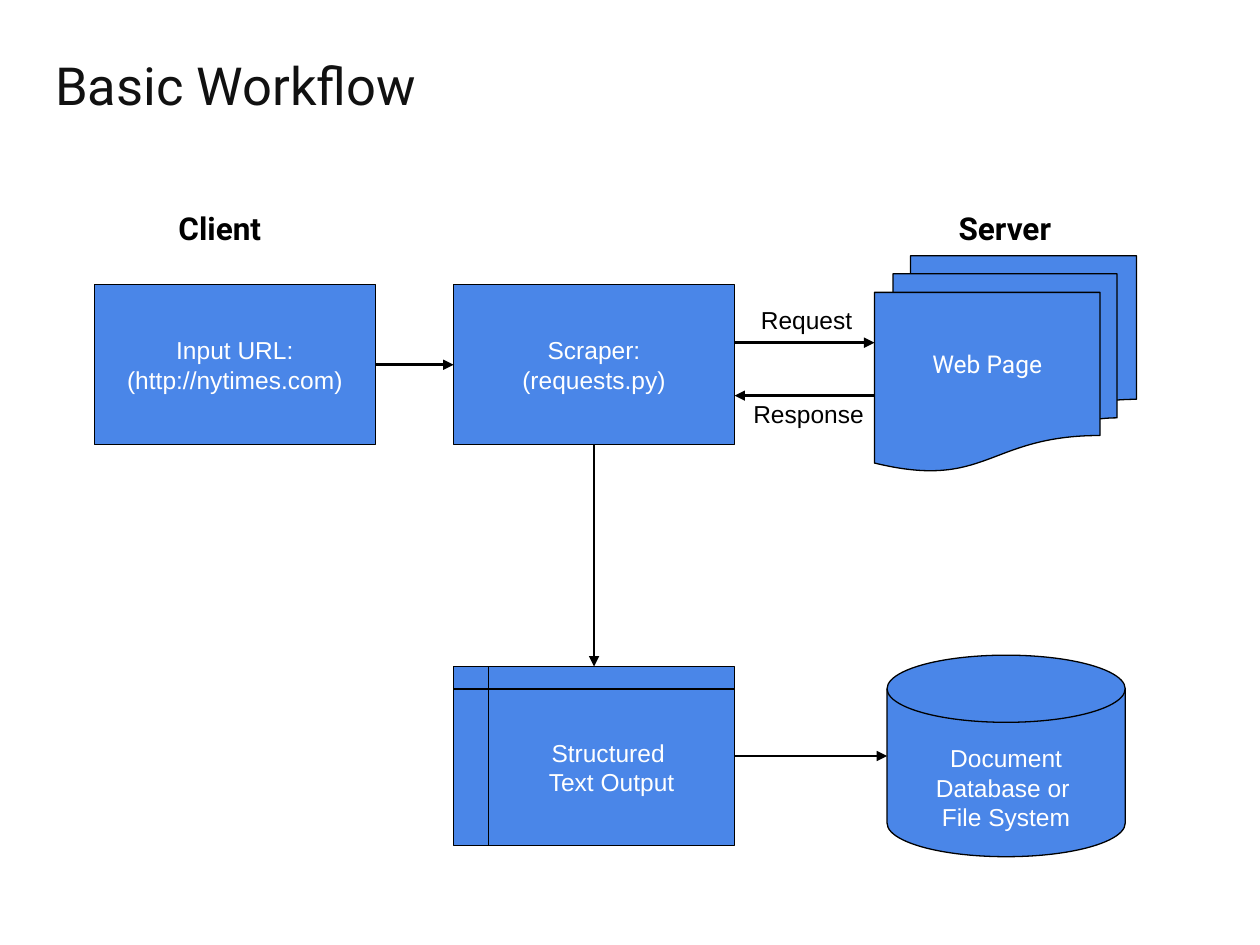
"""Build the Basic Workflow slide, a flow chart of a web scraper."""
import pptx
import pptx.dml.color
import pptx.enum.shapes
import pptx.enum.text
import pptx.oxml.ns
import pptx.util
from lxml import etree

Inches = pptx.util.Inches
Pt = pptx.util.Pt
RGBColor = pptx.dml.color.RGBColor
KIND = pptx.enum.shapes.MSO_SHAPE
ALIGN = pptx.enum.text.PP_ALIGN
ANCHOR = pptx.enum.text.MSO_ANCHOR
qn = pptx.oxml.ns.qn

BLUE = RGBColor(0x4A, 0x86, 0xE8)
BLACK = RGBColor(0, 0, 0)
WHITE = RGBColor(255, 255, 255)
INK = RGBColor(0x11, 0x11, 0x11)


def write(shape, lines, font, size, color, align, bold=False):
    frame = shape.text_frame
    frame.word_wrap = True
    frame.margin_left = frame.margin_right = Inches(0.1)
    frame.margin_top = frame.margin_bottom = Inches(0.1)
    para = frame.paragraphs[0]
    para.alignment = align
    for i, line in enumerate(lines):
        if i:
            para.add_line_break()
        run = para.add_run()
        run.text = line
        run.font.name = font
        run.font.size = Pt(size)
        run.font.bold = bold
        run.font.color.rgb = color


deck = pptx.Presentation()
deck.slide_width, deck.slide_height = Inches(10), Inches(7.5)
slide = deck.slides.add_slide(deck.slide_layouts[6])

labels = [
    ("Basic Workflow", 0.34, 0.32, 9.32, 0.83, "Roboto", 30, INK, ALIGN.LEFT, False),
    ("Client", 0.91, 1.56, 1.67, 0.48, "Roboto", 18, BLACK, ALIGN.CENTER, True),
    ("Server", 7.14, 1.56, 1.67, 0.48, "Roboto", 18, BLACK, ALIGN.CENTER, True),
    ("Request", 5.94, 2.32, 0.97, 0.41, "Arial", 14, BLACK, ALIGN.LEFT, False),
    ("Response", 5.88, 3.07, 1.11, 0.41, "Arial", 14, BLACK, ALIGN.LEFT, False),
]
for text, left, top, width, height, *style in labels:
    box = slide.shapes.add_textbox(Inches(left), Inches(top), Inches(width), Inches(height))
    write(box, [text], *style)

nodes = [
    ("input", KIND.RECTANGLE, 0.75, 2.26, 2.23, 1.27, "Arial",
     ["Input URL:", "(http://nytimes.com)"]),
    ("scraper", KIND.RECTANGLE, 3.6, 2.26, 2.23, 1.27, "Arial",
     ["Scraper:", "(requests.py)"]),
    ("pages", KIND.FLOWCHART_MULTIDOCUMENT, 6.94, 2.03, 2.08, 1.71, "Roboto",
     ["Web Page"]),
    ("output", KIND.FLOWCHART_INTERNAL_STORAGE, 3.6, 5.29, 2.23, 1.42, "Arial",
     ["Structured ", "Text Output"]),
    ("store", KIND.FLOWCHART_MAGNETIC_DISK, 7.04, 5.2, 1.89, 1.6, "Arial",
     ["Document Database or ", "File System"]),
]
flow = {}
for name, kind, left, top, width, height, font, lines in nodes:
    node = slide.shapes.add_shape(
        kind, Inches(left), Inches(top), Inches(width), Inches(height))
    node.shadow.inherit = False
    node.fill.solid()
    node.fill.fore_color.rgb = BLUE
    node.line.color.rgb = BLACK
    node.line.width = Pt(0.75)
    write(node, lines, font, 14, WHITE, ALIGN.CENTER)
    node.text_frame.vertical_anchor = ANCHOR.MIDDLE
    flow[name] = node
flow["pages"].text_frame.margin_bottom = Inches(0.33)
flow["store"].text_frame.margin_top = Inches(0.33)

arrows = [
    (2.98, 2.89, 3.6, 2.89, ("input", 3), ("scraper", 1)),
    (4.71, 3.53, 4.71, 5.29, ("scraper", 2), ("output", 0)),
    (5.83, 2.72, 6.94, 2.72, None, None),
    (6.94, 3.14, 5.83, 3.14, None, None),
    (5.83, 6, 7.04, 6, ("output", 3), None),
]
for x1, y1, x2, y2, start, end in arrows:
    arrow = slide.shapes.add_connector(
        pptx.enum.shapes.MSO_CONNECTOR.STRAIGHT,
        Inches(x1), Inches(y1), Inches(x2), Inches(y2))
    if start:
        arrow.begin_connect(flow[start[0]], start[1])
    if end:
        arrow.end_connect(flow[end[0]], end[1])
    arrow.line.color.rgb = BLACK
    arrow.line.width = Pt(1.5)
    props = arrow.line._get_or_add_ln()
    etree.SubElement(props, qn("a:tailEnd"), type="triangle")
    etree.SubElement(arrow._element.spPr, qn("a:effectLst"))

deck.save("out.pptx")
